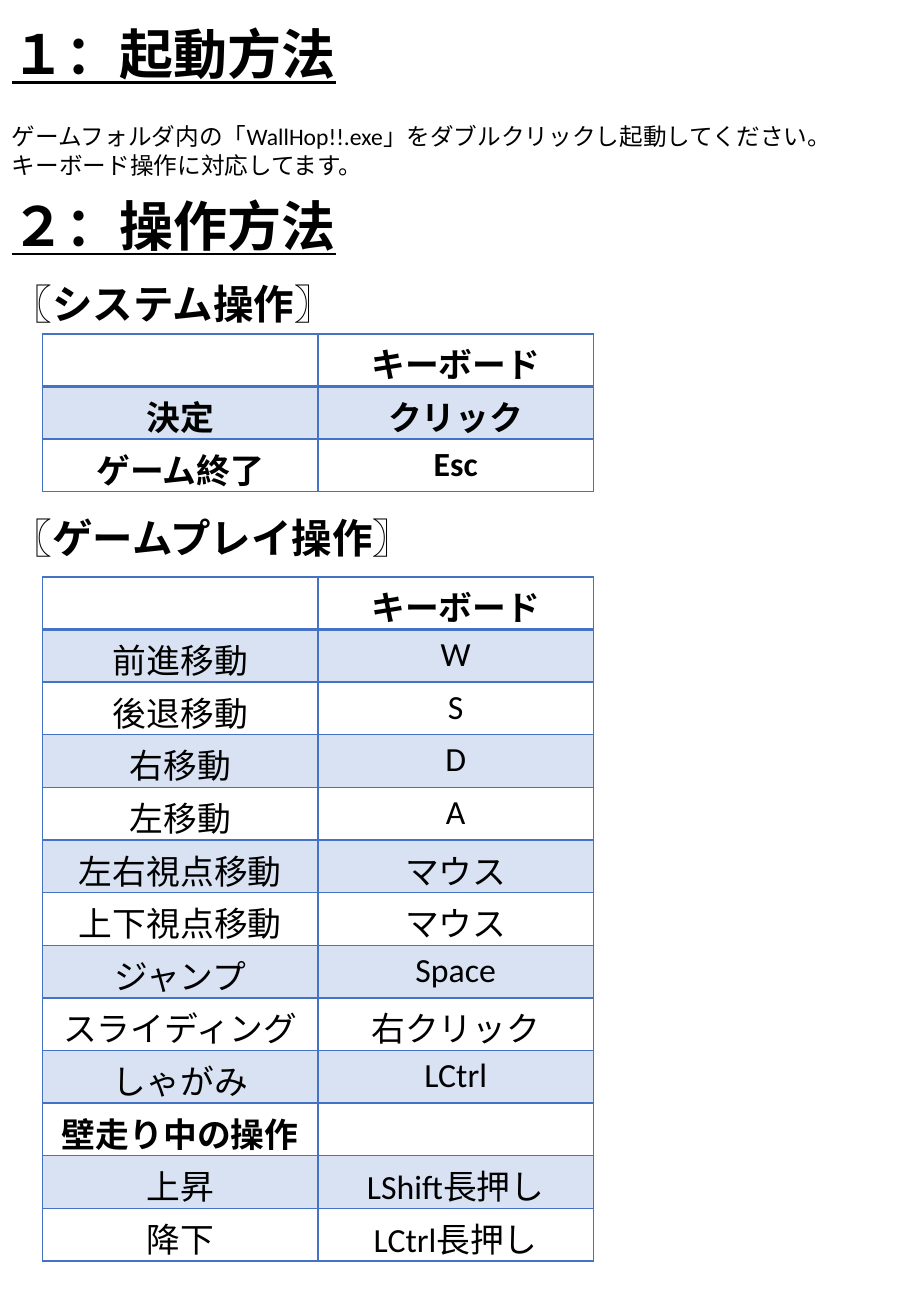
"""Build the one-page game manual with its two control tables."""
from lxml import etree
from pptx import Presentation
from pptx.dml.color import RGBColor
from pptx.enum.text import PP_ALIGN
from pptx.oxml.ns import qn
from pptx.util import Cm, Pt

BLACK = RGBColor(0x00, 0x00, 0x00)
BLUE = RGBColor(0x44, 0x72, 0xC4)
CENTER = PP_ALIGN.CENTER

TITLE = {"size": Pt(32), "bold": True, "underline": True}
HEADING = {"size": Pt(24), "bold": True}
BODY = {"size": Pt(14), "bold": False}
CELL = {"size": Pt(20), "bold": False}
CELL_BOLD = {"size": Pt(20), "bold": True}

HEADER = ("", "キーボード")
SYSTEM_ROWS = [HEADER, ("決定", "クリック"), ("ゲーム終了", "Esc")]
PLAY_ROWS = [
    HEADER,
    ("前進移動", "W"),
    ("後退移動", "S"),
    ("右移動", "D"),
    ("左移動", "A"),
    ("左右視点移動", "マウス"),
    ("上下視点移動", "マウス"),
    ("ジャンプ", "Space"),
    ("スライディング", "右クリック"),
    ("しゃがみ", "LCtrl"),
    ("壁走り中の操作", ""),
    ("上昇", "LShift長押し"),
    ("降下", "LCtrl長押し"),
]


class Manual:
    """Hold the manual's style and slide."""

    font = "Calibri"
    col_width = Cm(5.76)
    row_height = Cm(1.1)
    cell_margins = {"margin_left": Cm(0.19), "margin_right": Cm(0.19),
                    "margin_top": Cm(0.1), "margin_bottom": Cm(0.1)}

    def __init__(self, prs):
        self.slide = prs.slides.add_slide(prs.slide_layouts[6])

    def run(self, p, text, style):
        r = p.add_run()
        r.text = text
        for name, value in style.items():
            setattr(r.font, name, value)
        r.font.name = self.font
        r.font.color.rgb = BLACK

    def text(self, left, top, width, height, lines, wrap=False):
        sp = self.slide.shapes.add_textbox(Cm(left), Cm(top), Cm(width), Cm(height))
        tf = sp.text_frame
        tf.word_wrap = wrap
        for i, (text, style, before) in enumerate(lines):
            p = tf.add_paragraph() if i else tf.paragraphs[0]
            p.space_before = Pt(before)
            self.run(p, text, style)

    def border(self, cell, side, width):
        ln = etree.SubElement(cell._tc.get_or_add_tcPr(), qn("a:" + side), w=str(Pt(width)))
        fill = etree.SubElement(ln, qn("a:solidFill"))
        etree.SubElement(fill, qn("a:srgbClr"), val=str(BLUE))

    def shade(self, cell, banded):
        if not banded:
            cell.fill.background()
            return
        cell.fill.solid()
        cell.fill.fore_color.rgb = BLUE
        color = cell._tc.tcPr.find(qn("a:solidFill")).find(qn("a:srgbClr"))
        etree.SubElement(color, qn("a:alpha"), val="20000")

    def table(self, left, top, rows, bold_rows):
        frame = self.slide.shapes.add_table(
            len(rows), 2, Cm(left), Cm(top), self.col_width * 2, self.row_height * len(rows))
        table = frame.table
        for col in table.columns:
            col.width = self.col_width
        for i, row in enumerate(rows):
            table.rows[i].height = self.row_height
            for j, text in enumerate(row):
                cell = table.cell(i, j)
                for name, value in self.cell_margins.items():
                    setattr(cell, name, value)
                for side in ("lnL", "lnR", "lnT", "lnB"):
                    thick = (i, side) in ((0, "lnB"), (1, "lnT"))
                    self.border(cell, side, 2 if thick else 1)
                self.shade(cell, i % 2)
                p = cell.text_frame.paragraphs[0]
                p.alignment = CENTER
                if text:
                    self.run(p, text, CELL_BOLD if i in bold_rows else CELL)
                else:
                    p.font.size = CELL["size"]


def main():
    prs = Presentation()
    prs.slide_width, prs.slide_height = Cm(19.05), Cm(27.51)
    manual = Manual(prs)
    manual.text(0, 0.3, 19.05, 4.78, [
        ("１：起動方法", TITLE, 0),
        ("ゲームフォルダ内の「WallHop!!.exe」をダブルクリックし起動してください。", BODY, 22),
        ("キーボード操作に対応してます。", BODY, 0),
    ], wrap=True)
    manual.text(0, 3.89, 7.34, 3.1, [
        ("２：操作方法", TITLE, 0),
        ("〖システム操作〗", HEADING, 13),
    ])
    manual.table(0.89, 6.98, SYSTEM_ROWS, (0, 1, 2))
    manual.text(0, 10.59, 9.07, 1.27, [("〖ゲームプレイ操作〗", HEADING, 0)])
    manual.table(0.89, 12.06, PLAY_ROWS, (0, 10))
    prs.save("out.pptx")


if __name__ == "__main__":
    main()
